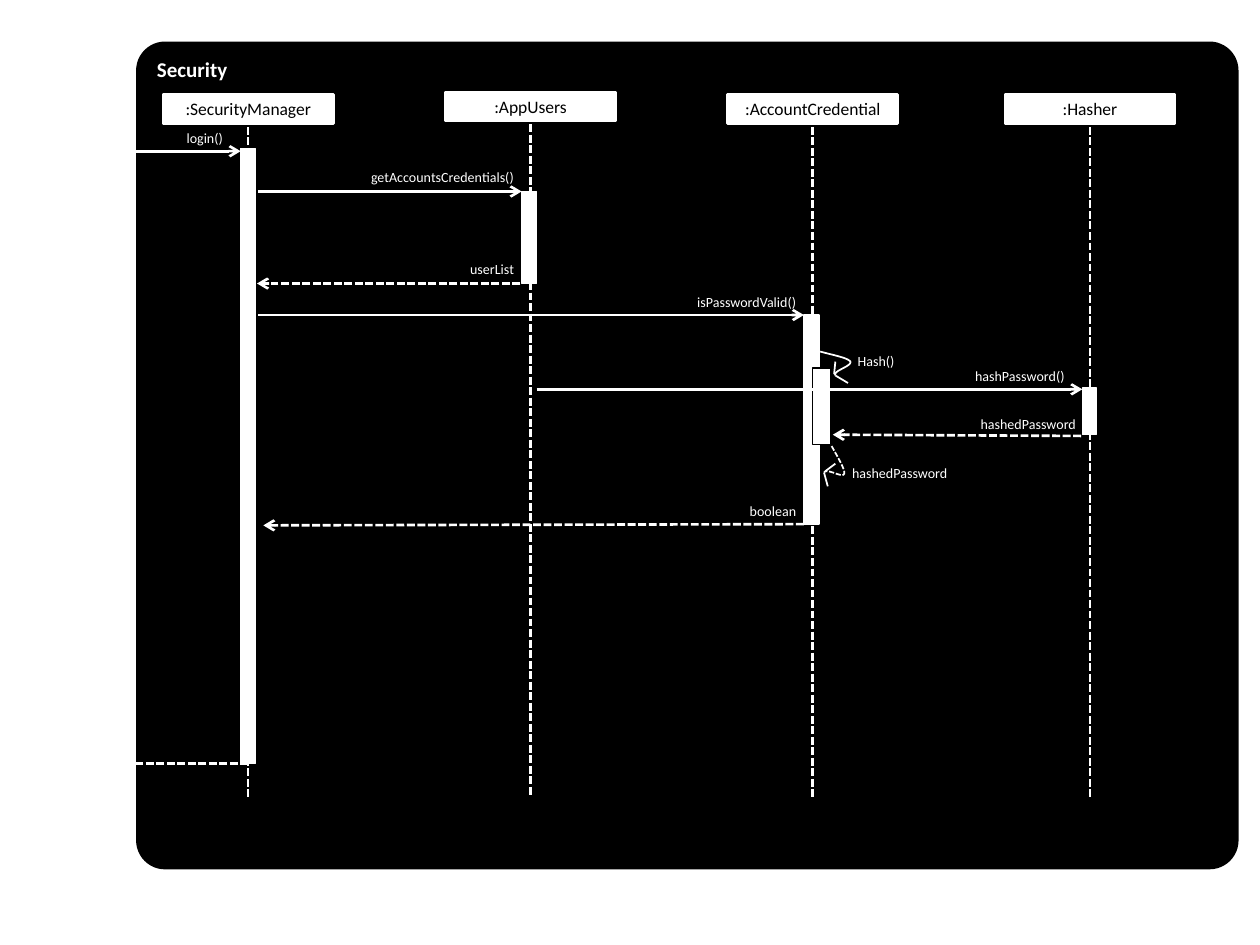
import dataclasses
import pptx
import pptx.dml.color
import pptx.enum.dml
import pptx.enum.shapes
import pptx.enum.text
import pptx.oxml.ns
import pptx.oxml.xmlchemy
import pptx.util

COLUMNS, ROWS = 1000, 750
WHITE, BLACK = "FFFFFF", "000000"
FONT = "Calibri"
HEADER_WIDTH, HEADER_HEIGHT = 135, 23
LIFELINE_OFFSET, LIFELINE_LENGTH = 9, 549
LABEL_HEIGHT = 13
ALIGN = pptx.enum.text.PP_ALIGN
ANCHOR = pptx.enum.text.MSO_ANCHOR
SHAPE = pptx.enum.shapes.MSO_SHAPE

presentation = pptx.Presentation()
presentation.slide_width = pptx.util.Inches(10)
presentation.slide_height = pptx.util.Inches(7.5)
slide = presentation.slides.add_slide(presentation.slide_layouts[6])


@dataclasses.dataclass
class Participant:
    name: str
    center: float
    top: float


@dataclasses.dataclass
class Activation:
    left: float
    top: float
    width: float
    height: float
    border: str = WHITE


@dataclasses.dataclass
class Message:
    start: tuple[float, float]
    end: tuple[float, float]
    is_return: bool = False


@dataclasses.dataclass
class Label:
    text: str
    left: float
    top: float
    width: float = 150


@dataclasses.dataclass
class SelfMessage:
    curve: list[tuple[float, float]]
    barbs: list[tuple[tuple[float, float], tuple[float, float]]]
    is_return: bool = False


def across(columns: float) -> int:
    return round(presentation.slide_width * columns / COLUMNS)


def down(rows: float) -> int:
    return round(presentation.slide_height * rows / ROWS)


def color(value: str) -> pptx.dml.color.RGBColor:
    return pptx.dml.color.RGBColor.from_string(value)


def write(shape, text: str, *, size: float, fill: str, align=ALIGN.LEFT,
          anchor=ANCHOR.TOP, bold: bool = False) -> None:
    frame = shape.text_frame
    frame.word_wrap = True
    frame.vertical_anchor = anchor
    paragraph = frame.paragraphs[0]
    paragraph.alignment = align
    run = paragraph.add_run()
    run.text = text
    run.font.name = FONT
    run.font.size = pptx.util.Pt(size)
    run.font.bold = bold
    run.font.color.rgb = color(fill)


def format_line(line, stroke: str, width: float, dashed: bool = False) -> None:
    line.color.rgb = color(stroke)
    line.width = pptx.util.Pt(width)
    if dashed:
        line.dash_style = pptx.enum.dml.MSO_LINE.SQUARE_DOT


def draw_box(kind, left: float, top: float, width: float, height: float, *,
             fill: str, border: str | None = None, border_width: float = 0.75):
    shape = slide.shapes.add_shape(kind, across(left), down(top), across(width), down(height))
    shape.shadow.inherit = False
    shape.fill.solid()
    shape.fill.fore_color.rgb = color(fill)
    if border:
        format_line(shape.line, border, border_width)
    else:
        shape.line.fill.background()
    return shape


def draw_line(start: tuple[float, float], end: tuple[float, float], *, width: float = 1.5,
              dashed: bool = False, arrow: bool = False) -> None:
    connector = slide.shapes.add_connector(
        pptx.enum.shapes.MSO_CONNECTOR.STRAIGHT,
        across(start[0]), down(start[1]), across(end[0]), down(end[1]))
    format_line(connector.line, WHITE, width, dashed)
    properties = connector._element.spPr
    if arrow:
        tail = pptx.oxml.xmlchemy.OxmlElement("a:tailEnd")
        tail.set("type", "arrow")
        properties.find(pptx.oxml.ns.qn("a:ln")).append(tail)
    properties.append(pptx.oxml.xmlchemy.OxmlElement("a:effectLst"))


def draw_participant(participant: Participant) -> None:
    top = participant.top + LIFELINE_OFFSET
    draw_line((participant.center, top), (participant.center, top + LIFELINE_LENGTH), dashed=True)
    header = draw_box(SHAPE.RECTANGLE, participant.center - HEADER_WIDTH / 2, participant.top,
                      HEADER_WIDTH, HEADER_HEIGHT, fill=WHITE, border=WHITE, border_width=1.5)
    write(header, participant.name, size=10, fill=BLACK, align=ALIGN.CENTER, anchor=ANCHOR.MIDDLE)


def draw_label(label: Label) -> None:
    box = slide.shapes.add_textbox(across(label.left), down(label.top),
                                   across(label.width), down(LABEL_HEIGHT))
    frame = box.text_frame
    frame.margin_left = frame.margin_top = frame.margin_right = frame.margin_bottom = 0
    frame.auto_size = pptx.enum.text.MSO_AUTO_SIZE.SHAPE_TO_FIT_TEXT
    write(box, label.text, size=8, fill=WHITE, align=ALIGN.RIGHT)


def bezier(controls: list[tuple[float, float]], share: float) -> tuple[int, int]:
    rest = 1 - share
    weights = (rest ** 3, 3 * rest ** 2 * share, 3 * rest * share ** 2, share ** 3)
    return (across(sum(weight * x for weight, (x, _) in zip(weights, controls))),
            down(sum(weight * y for weight, (_, y) in zip(weights, controls))))


def draw_self_message(message: SelfMessage, steps: int = 12) -> None:
    points = [bezier(message.curve[first:first + 4], step / steps)
              for first in range(0, len(message.curve) - 1, 3) for step in range(steps + 1)]
    builder = slide.shapes.build_freeform(*points[0])
    builder.add_line_segments(points[1:], close=False)
    shape = builder.convert_to_shape()
    shape.shadow.inherit = False
    shape.fill.background()
    format_line(shape.line, WHITE, 1, message.is_return)
    for start, end in message.barbs:
        draw_line(start, end, width=1)


PARTICIPANTS = [
    Participant(":SecurityManager", 197, 75),
    Participant(":AppUsers", 421, 73),
    Participant(":AccountCredential", 645, 75),
    Participant(":Hasher", 865, 75),
]
ACTIVATIONS = [
    Activation(191, 118, 12, 488),
    Activation(414, 152, 12, 73),
    Activation(638, 250, 12, 166),
    Activation(645, 292, 14, 61, BLACK),
    Activation(859, 308, 11, 37),
]
MESSAGES = [
    Message((0, 120), (191, 120)),
    Message((205, 152), (414, 152)),
    Message((413, 225), (204, 225), is_return=True),
    Message((205, 250), (638, 250)),
    Message((426, 309), (859, 309)),
    Message((858, 346), (661, 345), is_return=True),
    Message((638, 416), (209, 417), is_return=True),
    Message((197, 606), (42, 606), is_return=True),
]
LABELS = [
    Label("login()", 121, 103, 56),
    Label("getAccountsCredentials()", 258, 134),
    Label("userList", 258, 207),
    Label("isPasswordValid()", 482, 233),
    Label("Hash()", 569, 280, 141),
    Label("hashPassword()", 695, 292),
    Label("hashedPassword", 767, 330, 87),
    Label("hashedPassword", 665, 369, 87),
    Label("boolean", 482, 399),
]
SELF_MESSAGES = [
    SelfMessage([(651, 279), (662, 282), (673, 284), (675, 287), (676, 291), (661, 294), (663, 298)],
                [((663, 298), (673, 304)), ((662, 297), (663, 287))]),
    SelfMessage([(660, 354), (665, 363), (671, 373), (670, 376), (669, 380), (656, 371), (654, 375)],
                [((654, 375), (657, 386)), ((655, 374), (663, 368))], is_return=True),
]

panel = draw_box(SHAPE.ROUNDED_RECTANGLE, 108, 33, 875, 657, fill=BLACK)
panel.adjustments[0] = 0.035
write(panel, "Security", size=12, fill=WHITE, bold=True)
for participant in PARTICIPANTS:
    draw_participant(participant)
for bar in ACTIVATIONS:
    draw_box(SHAPE.RECTANGLE, bar.left, bar.top, bar.width, bar.height, fill=WHITE, border=bar.border)
for message in MESSAGES:
    draw_line(message.start, message.end, dashed=message.is_return, arrow=True)
for label in LABELS:
    draw_label(label)
for self_message in SELF_MESSAGES:
    draw_self_message(self_message)

presentation.save("out.pptx")
